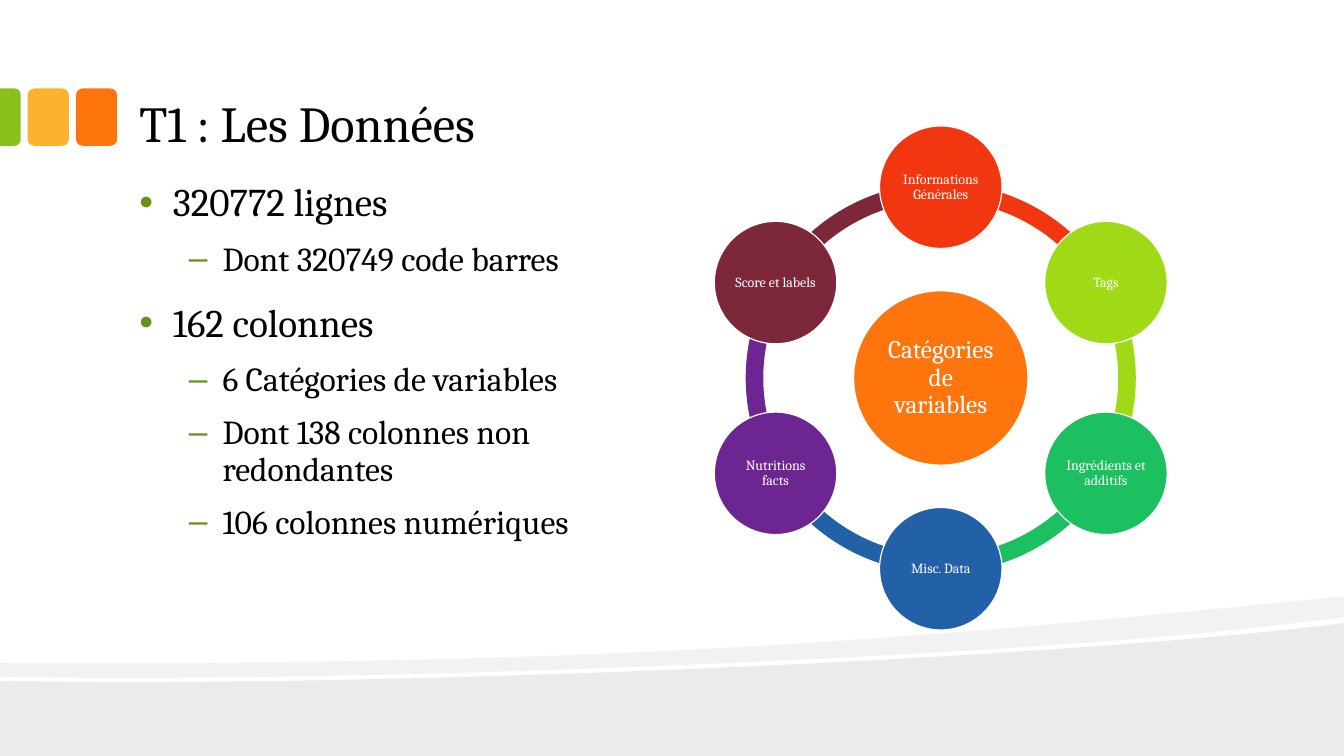
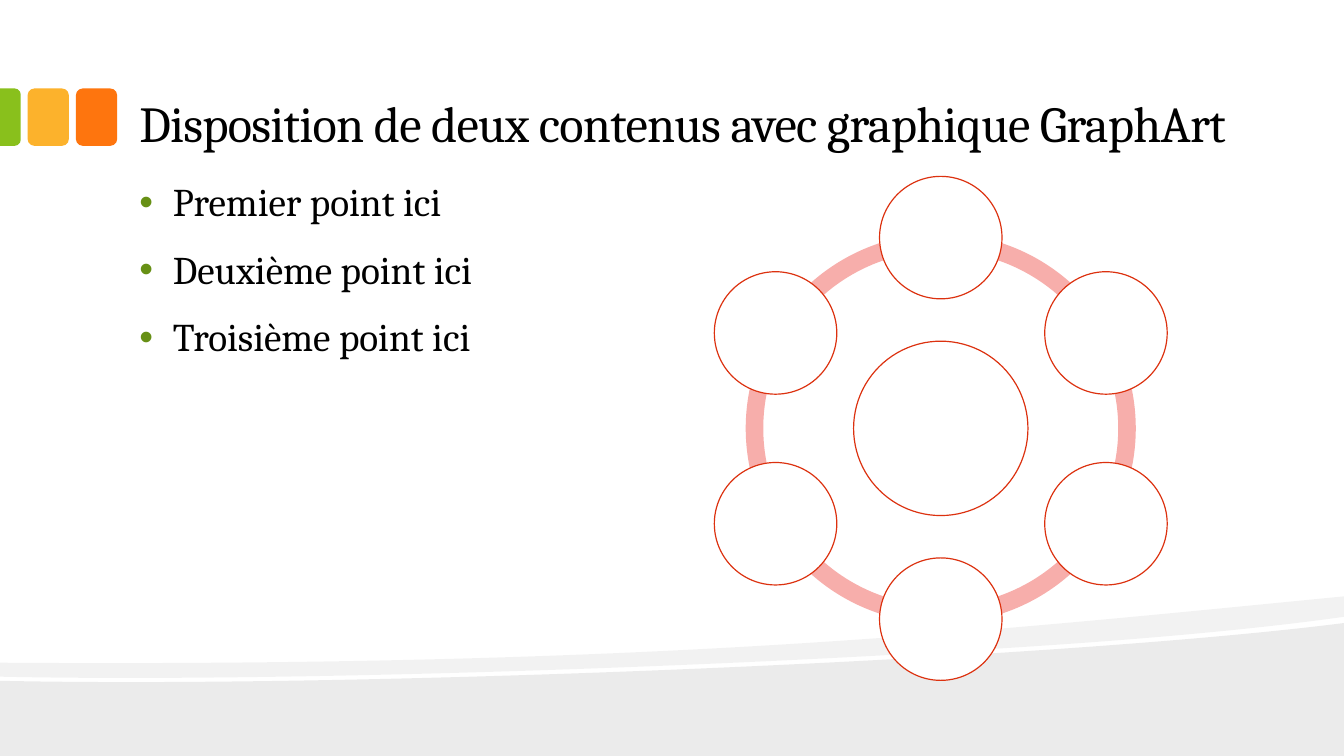
from math import cos, radians, sin

from lxml.etree import SubElement
from pptx import Presentation
from pptx.dml.color import RGBColor
from pptx.enum.shapes import MSO_SHAPE
from pptx.enum.text import MSO_ANCHOR, PP_ALIGN
from pptx.oxml.ns import qn
from pptx.util import Pt

FONT = "Cambria"
BLACK = RGBColor(0x00, 0x00, 0x00)
WHITE = RGBColor(0xFF, 0xFF, 0xFF)
ORANGE = RGBColor(0xFE, 0x75, 0x0E)
AMBER = RGBColor(0xFC, 0xB2, 0x2C)
GREEN = RGBColor(0x89, 0xC0, 0x1C)
MOSS = RGBColor(0x67, 0x90, 0x15)
RED = RGBColor(0xF2, 0x36, 0x10)
LIME = RGBColor(0xA0, 0xDA, 0x16)
JADE = RGBColor(0x1C, 0xC0, 0x60)
BLUE = RGBColor(0x22, 0x60, 0xA8)
PURPLE = RGBColor(0x6D, 0x26, 0x91)
WINE = RGBColor(0x7C, 0x28, 0x3A)
PINK = RGBColor(0xF7, 0xAE, 0xAB)
BRICK = RGBColor(0xDC, 0x31, 0x0F)

WIDTH, HEIGHT = 960, 540
LEVELS = [
    {"mark": "•", "left": 24, "size": 28, "before": 18},
    {"mark": "–", "left": 59.5, "size": 24, "before": 12},
]
TOPICS = [
    ("Informations Générales", RED),
    ("Tags", LIME),
    ("Ingrédients et additifs", JADE),
    ("Misc. Data", BLUE),
    ("Nutritions facts", PURPLE),
    ("Score et labels", WINE),
]
FACTS = [
    (0, "320772 lignes"),
    (1, "Dont 320749 code barres"),
    (0, "162 colonnes"),
    (1, "6 Catégories de variables"),
    (1, "Dont 138 colonnes non redondantes"),
    (1, "106 colonnes numériques"),
]
POINTS = [(0, "Premier point ici"), (0, "Deuxième point ici"), (0, "Troisième point ici")]


def paint(shape, fill, line=None):
    shape.shadow.inherit = False
    shape.fill.solid()
    shape.fill.fore_color.rgb = fill
    if line is None:
        shape.line.fill.background()
    else:
        shape.line.color.rgb = line
        shape.line.width = Pt(0.85)


def add_part(slide, kind, box, fill, line=None):
    shape = slide.shapes.add_shape(kind, *map(Pt, box))
    paint(shape, fill, line)
    return shape


def add_run(para, text, size, color):
    run = para.add_run()
    run.text = text
    run.font.name = FONT
    run.font.size = Pt(size)
    run.font.color.rgb = color
    return run


def set_frame(frame, side, edge, anchor):
    frame.word_wrap = True
    frame.margin_left = frame.margin_right = Pt(side)
    frame.margin_top = frame.margin_bottom = Pt(edge)
    frame.vertical_anchor = anchor


def bend(wave, pieces):
    route = wave.element.find(".//" + qn("a:path"))
    steps = iter(route.findall(qn("a:lnTo")))
    for piece in pieces:
        group = [next(steps) for _ in piece]
        if len(group) == 3:
            first = group[0]
            cubic = SubElement(route, qn("a:cubicBezTo"))
            first.addprevious(cubic)
            for step in group:
                cubic.append(step[0])
                route.remove(step)


def add_wave(slide, start, pieces, alpha):
    spots = [(Pt(x), Pt(y)) for piece in pieces for x, y in piece]
    pen = slide.shapes.build_freeform(*map(Pt, start))
    pen.add_line_segments(spots, close=True)
    wave = pen.convert_to_shape()
    bend(wave, pieces)
    paint(wave, BLACK)
    color = wave.element.find(".//" + qn("a:srgbClr"))
    SubElement(color, qn("a:alpha")).set("val", str(alpha * 1000))


def add_floor(slide):
    base = [
        [(253.4, 491.8), (750.2, 471.6), (WIDTH, 445)],
        [(WIDTH, HEIGHT)],
        [(0, HEIGHT)],
    ]
    add_wave(slide, (0, 486.3), base, 8)
    stripe = [
        [(469.4, 476.6), (699, 451.4), (WIDTH, 426)],
        [(WIDTH, 440.6)],
        [(903.6, 448.6), (827.3, 455.8), (740.9, 461.5)],
        [(502.6, 477.4), (185.8, 487.4), (0, 483.4)],
    ]
    add_wave(slide, (0, 473.4), stripe, 5)


def add_tabs(slide, top, width, height):
    for left, fill in ((54.2, ORANGE), (19.7, AMBER)):
        add_part(slide, MSO_SHAPE.ROUNDED_RECTANGLE, (left, top, width, height), fill)
    depth = 14.8
    box = ((depth - height) / 2, top + (height - depth) / 2, height, depth)
    stub = add_part(slide, MSO_SHAPE.ROUND_2_SAME_RECTANGLE, box, GREEN)
    stub.adjustments[0] = 0.29
    stub.rotation = 90


def dress(layout, slide):
    add_floor(slide)
    add_tabs(slide, 63.2, 29.5, 41)
    parts = [part for part in slide.shapes if not part.is_placeholder]
    for number, part in enumerate(parts, 100):
        part.element.find(".//" + qn("p:cNvPr")).set("id", str(number))
        layout.shapes.element.append(part.element)


def set_title(slide, text, width, tight=0):
    title = slide.shapes.title
    title.left, title.top, title.width, title.height = map(Pt, (90, 12, width, 102))
    set_frame(title.text_frame, 9.5, 5, MSO_ANCHOR.BOTTOM)
    para = title.text_frame.paragraphs[0]
    para.alignment = PP_ALIGN.LEFT
    run = add_run(para, text, 36, BLACK)
    if tight:
        run.font._element.set("spc", str(tight))


def add_bullet(para, left, mark):
    props = para._p.get_or_add_pPr()
    props.set("marL", str(Pt(left)))
    props.set("indent", str(-Pt(24)))
    color = SubElement(props, qn("a:buClr"))
    SubElement(color, qn("a:srgbClr")).set("val", str(MOSS))
    SubElement(props, qn("a:buFont")).set("typeface", "Arial")
    SubElement(props, qn("a:buChar")).set("char", mark)


def add_list(slide, box, items):
    frame = slide.shapes.add_textbox(*map(Pt, box)).text_frame
    set_frame(frame, 9.5, 4.7, MSO_ANCHOR.TOP)
    for index, (depth, text) in enumerate(items):
        para = frame.add_paragraph() if index else frame.paragraphs[0]
        level = LEVELS[depth]
        para.level = depth
        para.line_spacing = 0.9
        para.space_before = Pt(level["before"])
        add_bullet(para, level["left"], level["mark"])
        add_run(para, text, level["size"], BLACK)


def add_disc(slide, mid, size, fill, line, text, font, inset):
    box = (mid[0] - size / 2, mid[1] - size / 2, size, size)
    disc = add_part(slide, MSO_SHAPE.OVAL, box, fill, line)
    if text:
        set_frame(disc.text_frame, inset, inset, MSO_ANCHOR.MIDDLE)
        para = disc.text_frame.paragraphs[0]
        para.alignment = PP_ALIGN.CENTER
        para.line_spacing = 0.9
        add_run(para, text, font, WHITE)


def add_ring(slide, left, top, size, hub, nodes, line):
    x, y = left + size / 2, top + size / 2
    node, core, band = size * 0.243, size * 0.346, size * 0.774
    reach = (size - node) / 2
    turn = 360 / len(nodes)
    for index, (_, _, tint) in enumerate(nodes):
        box = (x - band / 2, y - band / 2, band, band)
        arc = add_part(slide, MSO_SHAPE.BLOCK_ARC, box, tint)
        start = 270 + turn * index
        arc.adjustments[0] = start % 360 * 0.6
        arc.adjustments[1] = (start + turn) % 360 * 0.6
        arc.adjustments[2] = 0.045
    add_disc(slide, (x, y), core, hub[1], line, hub[0], 18, 2)
    for index, (text, fill, _) in enumerate(nodes):
        angle = radians(270 + turn * index)
        mid = (x + reach * cos(angle), y + reach * sin(angle))
        add_disc(slide, mid, node, fill, line, text, 10, 1)


def main():
    deck = Presentation()
    deck.slide_width, deck.slide_height = Pt(WIDTH), Pt(HEIGHT)
    layout = deck.slide_layouts[5]
    body = (90, 126, 384, 360)

    data = deck.slides.add_slide(layout)
    dress(layout, data)
    set_title(data, "T1 : Les Données", 768)
    add_list(data, body, FACTS)
    nodes = [(text, fill, fill) for text, fill in TOPICS]
    add_ring(data, 492, 90, 360, ("Catégories de variables", ORANGE), nodes, WHITE)

    blank = deck.slides.add_slide(layout)
    set_title(blank, "Disposition de deux contenus avec graphique GraphArt", 870, -50)
    add_list(blank, body, POINTS)
    add_ring(blank, 492, 126, 360, ("", WHITE), [("", WHITE, PINK)] * 6, BRICK)

    deck.save("out.pptx")


if __name__ == "__main__":
    main()
